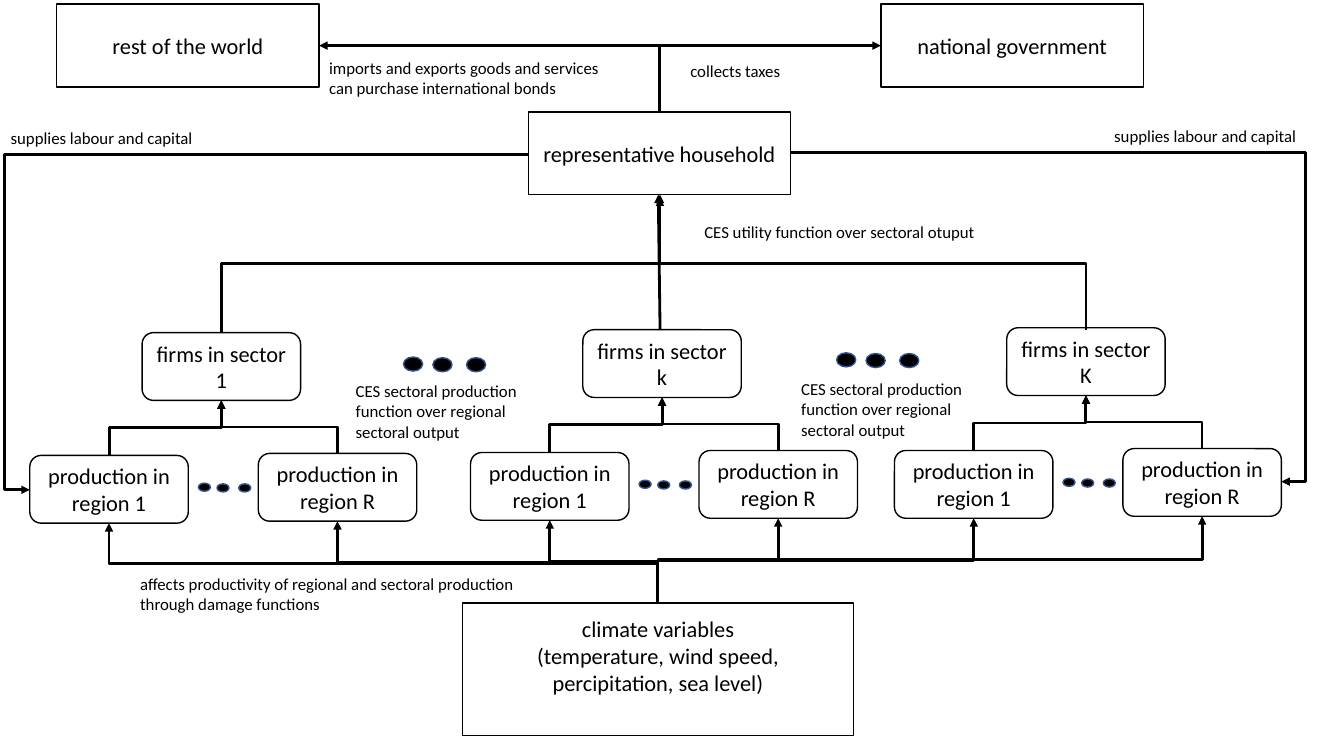
from dataclasses import dataclass
from typing import NamedTuple

from lxml import etree
from pptx import Presentation
from pptx.dml.color import RGBColor
from pptx.enum import shapes, text
from pptx.oxml import ns
from pptx.util import Pt

PP = text.PP_ALIGN


@dataclass(frozen=True)
class Theme:
    font: str = "Calibri"
    ink: RGBColor = RGBColor(0, 0, 0)
    dot_line: RGBColor = RGBColor(0x32, 0x54, 0x91)
    box_size: float = 16
    label_size: float = 12
    outline: float = 1
    arrow: float = 2


class Point(NamedTuple):
    x: float
    y: float


@dataclass(frozen=True)
class Box:
    words: str
    x: float
    y: float
    w: float
    h: float
    bottom_inset: float = 3.6


@dataclass(frozen=True)
class Label:
    words: str
    x: float
    y: float
    w: float
    h: float
    align: PP = PP.LEFT


@dataclass(frozen=True)
class Dots:
    x: float
    y: float
    w: float
    h: float
    steps: tuple[float, ...]


T = Theme()
prs = Presentation()
prs.slide_width, prs.slide_height = Pt(960), Pt(540)
s = prs.slides.add_slide(prs.slide_layouts[6])


def write(tf, words: str, *, size: float, align: PP = PP.LEFT,
          anchor: text.MSO_ANCHOR = text.MSO_ANCHOR.TOP) -> None:
    tf.word_wrap = True
    tf.vertical_anchor = anchor
    for i, line in enumerate(words.split("\n")):
        p = tf.paragraphs[0] if i == 0 else tf.add_paragraph()
        p.alignment = align
        r = p.add_run()
        r.text = line
        r.font.name, r.font.size = T.font, Pt(size)
        r.font.color.rgb = T.ink


def add_box(box: Box, rounded: bool = False) -> None:
    kind = shapes.MSO_SHAPE.ROUNDED_RECTANGLE if rounded else shapes.MSO_SHAPE.RECTANGLE
    sp = s.shapes.add_shape(kind, Pt(box.x), Pt(box.y), Pt(box.w), Pt(box.h))
    sp.shadow.inherit = False
    sp.fill.background()
    sp.line.color.rgb, sp.line.width = T.ink, Pt(T.outline)
    write(sp.text_frame, box.words, size=T.box_size, align=PP.CENTER,
          anchor=text.MSO_ANCHOR.MIDDLE)
    sp.text_frame.margin_bottom = Pt(box.bottom_inset)


def add_label(label: Label) -> None:
    sp = s.shapes.add_textbox(Pt(label.x), Pt(label.y), Pt(label.w), Pt(label.h))
    write(sp.text_frame, label.words, size=T.label_size, align=label.align)


def add_dots(dots: Dots) -> None:
    for step in dots.steps:
        sp = s.shapes.add_shape(shapes.MSO_SHAPE.OVAL, Pt(dots.x + step),
                                Pt(dots.y + (0.5 if step else 0)), Pt(dots.w), Pt(dots.h))
        sp.shadow.inherit = False
        sp.fill.solid()
        sp.fill.fore_color.rgb = T.ink
        sp.line.color.rgb, sp.line.width = T.dot_line, Pt(T.outline)


def add_arrow(start: Point, end: Point, *, preset: str = "bentConnector3",
              vertical: bool = False, bend: float = 0.5, tip: str = "tailEnd") -> None:
    """Draw an arrow; a vertical one leaves and arrives vertically."""
    if vertical:  # the same elbow, turned a quarter about its centre
        cx, cy = (start.x + end.x) / 2, (start.y + end.y) / 2
        dx, dy = end.x - start.x, end.y - start.y
        start, end = Point(cx - dy / 2, cy + dx / 2), Point(cx + dy / 2, cy - dx / 2)
    kind = shapes.MSO_CONNECTOR.STRAIGHT if preset == "line" else shapes.MSO_CONNECTOR.ELBOW
    c = s.shapes.add_connector(kind, Pt(start.x), Pt(start.y), Pt(end.x), Pt(end.y))
    c.line.color.rgb, c.line.width = T.ink, Pt(T.arrow)
    props = c._element.spPr
    if vertical:
        props.find(ns.qn("a:xfrm")).set("rot", "5400000")
    geom = props.find(ns.qn("a:prstGeom"))
    geom.set("prst", preset)
    if preset == "bentConnector3":
        etree.SubElement(geom.find(ns.qn("a:avLst")), ns.qn("a:gd"),
                         name="adj1", fmla=f"val {round(bend * 100000)}")
    etree.SubElement(props.find(ns.qn("a:ln")), ns.qn(f"a:{tip}"), type="triangle")
    etree.SubElement(props, ns.qn("a:effectLst"))


# Sectors: a firm fed by its regional producers
FIRM_W, FIRM_H = 113.2, 48.4
MID = FIRM_W / 2
REGIONS = {"1": Point(-80.2, 87.7), "R": Point(83, 86.3)}  # offsets from the firm
SECTORS = {"1": Point(101.5, 237.6), "k": Point(416.3, 235.5), "K": Point(719.1, 234.1)}
CLIMATE_TOP = Point(470, 431)

for sector, firm in SECTORS.items():
    add_box(Box(f"firms in sector {sector}", firm.x, firm.y, FIRM_W, FIRM_H), rounded=True)
    add_dots(Dots(firm.x + 40.2, firm.y + 107.5, 8.6, 5.8, (0, 13.3, 28.8)))
    for region, offset in REGIONS.items():
        x, y = firm.x + offset.x, firm.y + offset.y
        add_box(Box(f"production in region {region}", x, y, FIRM_W, FIRM_H), rounded=True)
        add_arrow(Point(x + MID, y), Point(firm.x + MID, firm.y + FIRM_H), vertical=True)
        add_arrow(CLIMATE_TOP, Point(x + MID, y + FIRM_H), vertical=True)

for left, top in ((288.2, 255), (597.6, 252)):
    add_dots(Dots(left, top, 13.7, 10.1, (0, 21, 45)))

# Household, outside partners and climate
for box in (
    Box("representative household", 377.3, 79.9, 187.4, 59.2),
    Box("rest of the world", 40.5, 3, 187.4, 59.2),
    Box("national government", 629.3, 3, 187.4, 59.2),
    Box("climate variables\n(temperature, wind speed,\npercipitation, sea level)",
        330.5, 430.6, 279, 95, bottom_inset=23),
):
    add_box(box)

# Sector output to the household
add_arrow(Point(158.1, 237.6), Point(471.4, 139.1), vertical=True)
add_arrow(Point(471.5, 235.5), Point(470.2, 139.1), preset="line")
add_arrow(Point(775.7, 235.8), Point(471.4, 141), vertical=True)

# Labour and capital back to producers
add_arrow(Point(377.3, 110.2), Point(21.3, 349.9), bend=1.05)
add_arrow(Point(564.9, 108.8), Point(915.3, 344), bend=1.05)

# Trade and taxes
for partner_x in (629.3, 228):
    add_arrow(Point(partner_x, 32.6), Point(471.4, 79.9),
              preset="bentConnector2", tip="headEnd")

# Labels
SUPPLY = "supplies labour and capital"
SECTORAL = "CES sectoral production function over regional sectoral output"
for label in (
    Label("CES utility function over sectoral otuput", 496, 154.8, 313, 20),
    Label(SECTORAL, 565.2, 267.2, 148.3, 51),
    Label(SECTORAL, 247, 268.6, 148.3, 51),
    Label(SUPPLY, 620, 86, 313, 22, PP.RIGHT),
    Label(SUPPLY, 0.5, 87.8, 313, 22),
    Label("collects taxes", 486, 39.6, 313, 22),
    Label("imports and exports goods and services\ncan purchase international bonds",
          228, 37.6, 228, 36),
    Label("affects productivity of regional and sectoral production through damage functions",
          93, 406, 313, 41),
):
    add_label(label)

prs.save("out.pptx")
